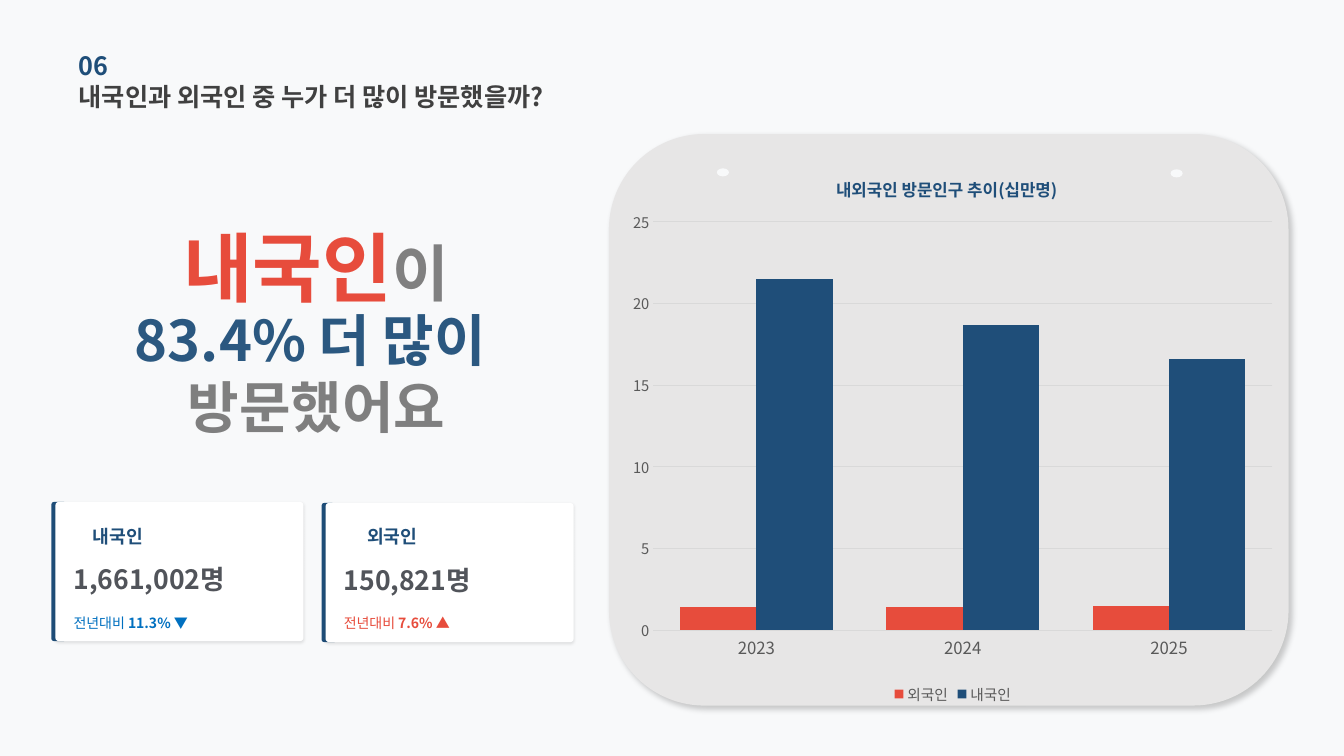
from pptx import Presentation
from pptx.chart.data import CategoryChartData as Data
from pptx.dml.color import RGBColor
from pptx.enum.chart import XL_CHART_TYPE as Kind, XL_LEGEND_POSITION as Spot, XL_TICK_MARK as Tick
from pptx.enum.shapes import MSO_SHAPE as Form
from pptx.enum.text import MSO_ANCHOR as Anchor, PP_ALIGN as Align
from pptx.oxml import parse_xml
from pptx.oxml.ns import nsdecls, qn
from pptx.util import Inches, Pt
from lxml.etree import SubElement

NAVY, RED, BLUE = "1F4E79", "E74C3C", "0070C0"
PALE, GRID, DIM = "F8F9FA", "D9D9D9", "595959"


def tint(code):
    return RGBColor.from_string(code)


class Deck:
    face = "Noto Sans CJK KR"

    def __init__(self):
        self.show = Presentation()
        self.show.slide_width = Inches(13.33)
        self.show.slide_height = Inches(7.5)
        self.slide = self.show.slides.add_slide(self.show.slide_layouts[6])
        fill = self.slide.background.fill
        fill.solid()
        fill.fore_color.rgb = tint(PALE)

    def style(self, font, size, color, bold=False):
        look = {"size": Pt(size), "bold": bold, "name": self.face}
        for key, val in look.items():
            setattr(font, key, val)
        font.color.rgb = tint(color)
        SubElement(font._rPr, qn("a:ea")).set("typeface", self.face)

    def shape(self, form, box, color, curve=None, shade=None):
        item = self.slide.shapes.add_shape(form, *map(Inches, box))
        item.shadow.inherit = False
        item.fill.solid()
        item.fill.fore_color.rgb = tint(color)
        item.line.fill.background()
        if curve is not None:
            item.adjustments[0] = curve
        if shade:
            alpha, blur, dist, turn = shade
            glow = item._element.spPr.find(qn("a:effectLst"))
            glow.append(parse_xml(
                f'<a:outerShdw {nsdecls("a")} blurRad="{Pt(blur)}" dist="{Pt(dist)}" '
                f'dir="{turn * 60000}" algn="tl" rotWithShape="0"><a:srgbClr val="000000">'
                f'<a:alpha val="{alpha * 1000}"/></a:srgbClr></a:outerShdw>'))

    def text(self, box, *rows, align=Align.LEFT):
        frame = self.slide.shapes.add_textbox(*map(Inches, box)).text_frame
        look = {"word_wrap": True, "vertical_anchor": Anchor.MIDDLE, "margin_left": 0,
                "margin_right": 0, "margin_top": 0, "margin_bottom": 0}
        for key, val in look.items():
            setattr(frame, key, val)
        for num, row in enumerate(rows):
            para = frame.add_paragraph() if num else frame.paragraphs[0]
            para.alignment = align
            for words, size, color, bold in row:
                run = para.add_run()
                run.text = words
                self.style(run.font, size, color, bold)

    def card(self, left, top, name, shift, count, rate, color):
        self.shape(Form.ROUNDED_RECTANGLE, (left - 0.04, top, 0.15, 1.38), NAVY)
        self.shape(Form.ROUNDED_RECTANGLE, (left, top, 2.46, 1.38), "FFFFFF", 0.023, (10, 2, 1, 90))
        self.text((left + shift, 5.18, 0.65, 0.28), [(name, 13, NAVY, True)])
        self.text((left + 0.18, top + 0.57, 2.54, 0.39), [(count, 19, "51545A", True)])
        self.text((left + 0.18, 5.95, 2.5, 0.46),
                  [("전년대비 ", 10, color, False), (rate, 10, color, True)])

    def place(self, node, **spots):
        old = node.find(qn("c:layout"))
        if old is not None:
            node.remove(old)
        body = "".join(f'<c:{key} val="{val}"/>' for key, val in spots.items())
        part = parse_xml(f'<c:layout {nsdecls("c")}><c:manualLayout>{body}</c:manualLayout></c:layout>')
        text = node.find(qn("c:tx"))
        if text is None:
            node.insert(0, part)
        else:
            text.addnext(part)

    def chart(self, box, title, cats, sets):
        data = Data()
        data.categories = cats
        for name, vals, color in sets:
            data.add_series(name, vals)
        chart = self.slide.shapes.add_chart(Kind.COLUMN_CLUSTERED, *map(Inches, box), data).chart
        self.style(chart.font, 10, "000000")
        frame = chart.chart_title.text_frame
        run = frame.paragraphs[0].add_run()
        run.text = title
        self.style(run.font, 12, NAVY, True)
        chart.chart_title.include_in_layout = False
        self.place(chart.chart_title._element, xMode="edge", yMode="edge", x=0.32, y=0.04)
        chart.has_legend = True
        chart.legend.position = Spot.BOTTOM
        chart.legend.include_in_layout = False
        self.style(chart.legend.font, 10.5, DIM)
        plot = chart.plots[0]
        look = {"gap_width": 70, "overlap": 0, "vary_by_categories": False}
        for key, val in look.items():
            setattr(plot, key, val)
        for item, (name, vals, color) in zip(plot.series, sets):
            item.format.fill.solid()
            item.format.fill.fore_color.rgb = tint(color)
            item.invert_if_negative = False
        base, side = chart.category_axis, chart.value_axis
        for axis, size in (base, 12), (side, 10.5):
            axis.major_tick_mark = axis.minor_tick_mark = Tick.NONE
            self.style(axis.tick_labels.font, size, DIM)
        look = {"minimum_scale": 0, "maximum_scale": 25, "major_unit": 5}
        for key, val in look.items():
            setattr(side, key, val)
        side.format.line.fill.background()
        for line in base.format.line, side.major_gridlines.format.line:
            line.color.rgb = tint(GRID)
            line.width = Pt(0.75)
        area = chart._chartSpace.chart.plotArea
        self.place(area, layoutTarget="inner", xMode="edge", yMode="edge",
                   x=0.05, y=0.13, w=0.93, h=0.73)


def main():
    deck = Deck()
    deck.shape(Form.ROUNDED_RECTANGLE, (6.04, 1.33, 6.74, 5.67), "E7E6E6", shade=(20, 4, 3, 45))
    for left, top in (7.11, 1.67), (11.61, 1.68):
        deck.shape(Form.OVAL, (left, top, 0.12, 0.08), PALE)
    deck.text((0.78, 0.44, 4.52, 0.41), [("06", 18, NAVY, True)])
    deck.text((0.78, 0.75, 5.28, 0.41),
              [("내국인과 외국인 중 누가 더 많이 방문했을까?", 18, "404040", True)])
    deck.text((0.99, 2.4, 4.29, 0.48),
              [("내국인", 54, RED, True), ("이", 44, "808080", True)], align=Align.CENTER)
    deck.text((0.38, 3.28, 5.52, 0.84), [("83.4% 더 많이 ", 40, "2B5880", True)],
              [("방문했어요", 40, "7F7F7F", True)], align=Align.CENTER)
    deck.card(0.55, 4.98, "내국인", 0.37, "1,661,002명", "11.3% ▼", BLUE)
    deck.card(3.23, 4.99, "외국인", 0.41, "150,821명", "7.6% ▲", RED)
    deck.chart((6.15, 1.48, 6.6, 5.55), "내외국인 방문인구 추이(십만명)", ["2023", "2024", "2025"],
               [("외국인", (1.4, 1.4, 1.5), RED), ("내국인", (21.5, 18.7, 16.6), NAVY)])
    deck.show.save("out.pptx")


if __name__ == "__main__":
    main()
